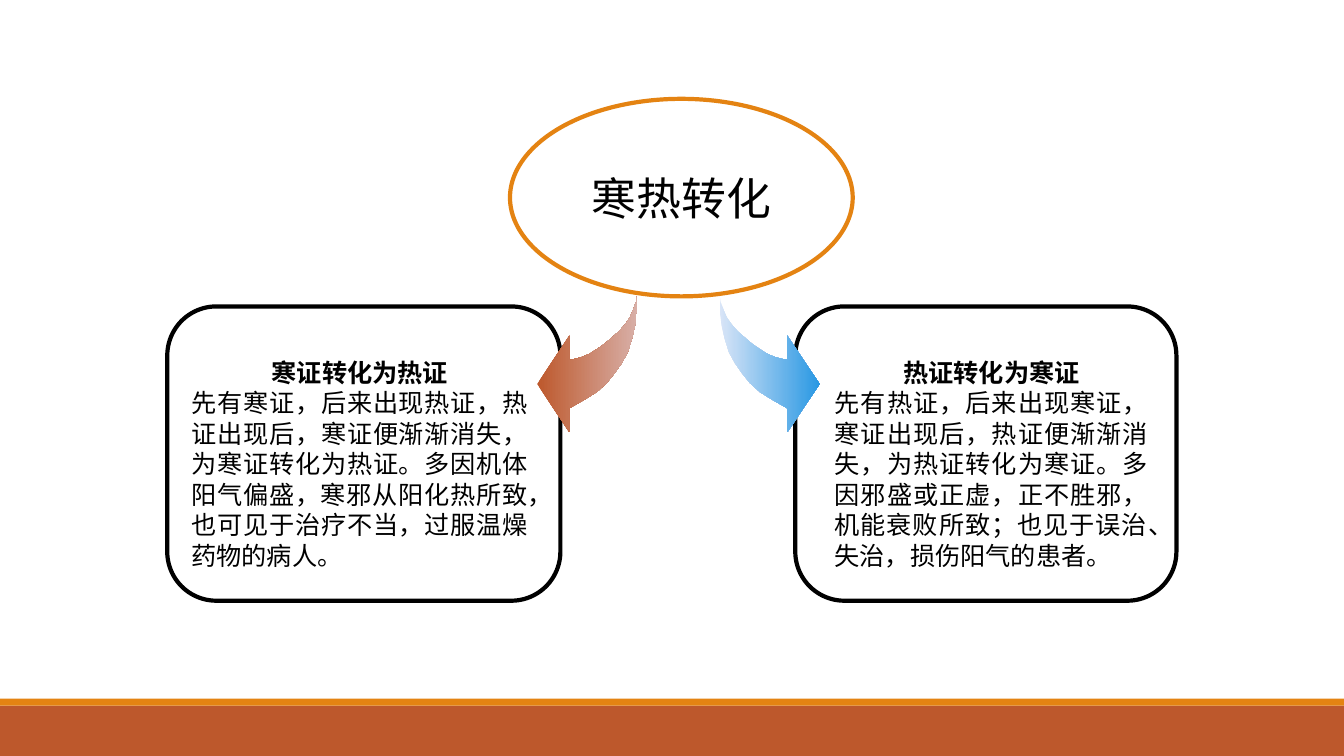
from dataclasses import dataclass

from lxml import etree
from pptx import Presentation
from pptx.dml.color import RGBColor
from pptx.enum.lang import MSO_LANGUAGE_ID
from pptx.enum.shapes import MSO_SHAPE
from pptx.enum.text import MSO_ANCHOR, MSO_AUTO_SIZE, PP_ALIGN
from pptx.oxml.ns import qn
from pptx.shapes.autoshape import Shape
from pptx.slide import Slide
from pptx.text.text import _Paragraph as Paragraph
from pptx.util import Pt

RECTANGLE = MSO_SHAPE.RECTANGLE
ROUNDED = MSO_SHAPE.ROUNDED_RECTANGLE
OVAL = MSO_SHAPE.OVAL
CENTER = PP_ALIGN.CENTER
JUSTIFY = PP_ALIGN.JUSTIFY
MIDDLE = MSO_ANCHOR.MIDDLE
FIT_SHAPE = MSO_AUTO_SIZE.SHAPE_TO_FIT_TEXT
CHINESE = MSO_LANGUAGE_ID.SIMPLIFIED_CHINESE


@dataclass(frozen=True)
class Theme:
    black: str = "000000"
    white: str = "FFFFFF"
    rust: str = "BD582C"
    rust_pale: str = "D8AFA7"
    orange: str = "E48312"
    blue: str = "2998E3"
    blue_pale: str = "D9E5F7"
    heading_font: str = "Noto Sans CJK SC"
    body_font: str = "Calibri"
    title_size: float = 32
    text_size: float = 18
    text_spacing: float = 21.8
    outline: float = 3


@dataclass(frozen=True)
class Box:
    left: float
    top: float
    width: float
    height: float


@dataclass(frozen=True)
class Panel:
    frame: Box
    text_box: Box
    heading: str
    body: str


@dataclass(frozen=True)
class CurvedArrow:
    tail_x: float
    direction: int  # -1 sweeps left, 1 sweeps right
    start_color: str
    end_color: str


THEME = Theme()
SLIDE_WIDTH, SLIDE_HEIGHT = 960, 540
FRAME_TOP, FRAME_HEIGHT = 218.9, 210.2
TEXT_TOP, TEXT_HEIGHT = 251.3, 159.8
ARROW_TOP = 211.7

BARS = [
    (Box(0, 504, SLIDE_WIDTH, 36), THEME.rust),
    (Box(0, 499, SLIDE_WIDTH, 5), THEME.orange),
]
TOPIC = Box(364.3, 70.6, 244.8, 141.1)
PANELS = [
    Panel(
        Box(568.1, FRAME_TOP, 272.2, FRAME_HEIGHT),
        Box(589, TEXT_TOP, 238.3, TEXT_HEIGHT),
        "热证转化为寒证",
        "先有热证，后来出现寒证，寒证出现后，热证便渐渐消失，为热证转化为寒证。"
        "多因邪盛或正虚，正不胜邪，机能衰败所致；也见于误治、失治，损伤阳气的患者。",
    ),
    Panel(
        Box(119.5, FRAME_TOP, 280.8, FRAME_HEIGHT),
        Box(129.6, TEXT_TOP, 254.9, TEXT_HEIGHT),
        "寒证转化为热证",
        "先有寒证，后来出现热证，热证出现后，寒证便渐渐消失，为寒证转化为热证。"
        "多因机体阳气偏盛，寒邪从阳化热所致，也可见于治疗不当，过服温燥药物的病人。",
    ),
]
ARROWS = [
    CurvedArrow(455, -1, THEME.rust, THEME.rust_pale),
    CurvedArrow(514.1, 1, THEME.blue_pale, THEME.blue),
]
# Arrow outline: distance outward from the tail, distance below it
ARROW_OUTLINE = [
    (0, 0), (0, 10.8), (1.4, 20.9), (3.6, 30.2), (6.5, 39.6), (10.8, 47.5),
    (15.8, 54.7), (21.6, 61.9), (28.8, 68.4), (38.2, 74.2), (48.2, 79.9),
    (48.2, 97.2), (71.3, 62.6), (48.2, 28.1), (48.2, 45.4), (43.9, 44.6),
    (38.9, 43.2), (33.8, 41), (28.1, 37.4), (23, 33.8), (18, 29.5),
    (13, 25.2), (8.6, 20.2), (5, 15.1), (2.9, 10.1), (0.7, 4.3),
]


def color(value: str) -> RGBColor:
    return RGBColor.from_string(value)


def bounds(box: Box) -> tuple[Pt, Pt, Pt, Pt]:
    return Pt(box.left), Pt(box.top), Pt(box.width), Pt(box.height)


def add_run(paragraph: Paragraph, text: str, size: float, font_name: str,
            bold: bool = False) -> None:
    run = paragraph.add_run()
    run.text = text
    font = run.font
    font.size, font.bold, font.name = Pt(size), bold, font_name
    font.language_id = CHINESE
    font.color.rgb = color(THEME.black)
    # Chinese glyphs take the East Asian typeface
    latin = run._r.get_or_add_rPr().find(qn("a:latin"))
    east_asian = etree.Element(qn("a:ea"))
    east_asian.set("typeface", THEME.heading_font)
    latin.addnext(east_asian)


def add_preset(slide: Slide, kind: MSO_SHAPE, box: Box, fill: str | None = None,
               line: str | None = None) -> Shape:
    shape = slide.shapes.add_shape(kind, *bounds(box))
    shape.shadow.inherit = False
    if fill:
        shape.fill.solid()
        shape.fill.fore_color.rgb = color(fill)
    else:
        shape.fill.background()
    if line:
        shape.line.color.rgb = color(line)
        shape.line.width = Pt(THEME.outline)
    else:
        shape.line.fill.background()
    return shape


def add_panel_text(slide: Slide, panel: Panel) -> None:
    frame = slide.shapes.add_textbox(*bounds(panel.text_box)).text_frame
    frame.word_wrap = True
    frame.auto_size = FIT_SHAPE
    heading, body = frame.paragraphs[0], frame.add_paragraph()
    heading.alignment, body.alignment = CENTER, JUSTIFY
    heading.line_spacing = body.line_spacing = Pt(THEME.text_spacing)
    add_run(heading, panel.heading, THEME.text_size, THEME.heading_font, bold=True)
    add_run(body, panel.body, THEME.text_size, THEME.body_font)


def add_topic(slide: Slide) -> None:
    ellipse = add_preset(slide, OVAL, TOPIC, THEME.white, THEME.orange)
    ellipse.text_frame.vertical_anchor = MIDDLE
    paragraph = ellipse.text_frame.paragraphs[0]
    paragraph.alignment = CENTER
    add_run(paragraph, "寒热转化", THEME.title_size, THEME.heading_font)


def add_arrow(slide: Slide, arrow: CurvedArrow) -> None:
    points = [(Pt(arrow.tail_x + arrow.direction * outward), Pt(ARROW_TOP + down))
              for outward, down in ARROW_OUTLINE]
    builder = slide.shapes.build_freeform(*points[0])
    builder.add_line_segments(points[1:], close=True)
    shape = builder.convert_to_shape()
    shape.shadow.inherit = False
    shape.line.fill.background()
    shape.fill.gradient()
    shape.fill.gradient_angle = 0
    for stop, value in zip(shape.fill.gradient_stops, (arrow.start_color, arrow.end_color)):
        stop.color.rgb = color(value)


def main() -> None:
    presentation = Presentation()
    presentation.slide_width = Pt(SLIDE_WIDTH)
    presentation.slide_height = Pt(SLIDE_HEIGHT)
    slide = presentation.slides.add_slide(presentation.slide_layouts[6])

    # Footer bars
    for box, fill in BARS:
        add_preset(slide, RECTANGLE, box, fill)
    # Panels: text below, outline above
    for panel in PANELS:
        add_panel_text(slide, panel)
        add_preset(slide, ROUNDED, panel.frame, line=THEME.black)
    # Topic and the arrows leaving it
    add_topic(slide)
    for arrow in ARROWS:
        add_arrow(slide, arrow)

    presentation.save("out.pptx")


if __name__ == "__main__":
    main()
